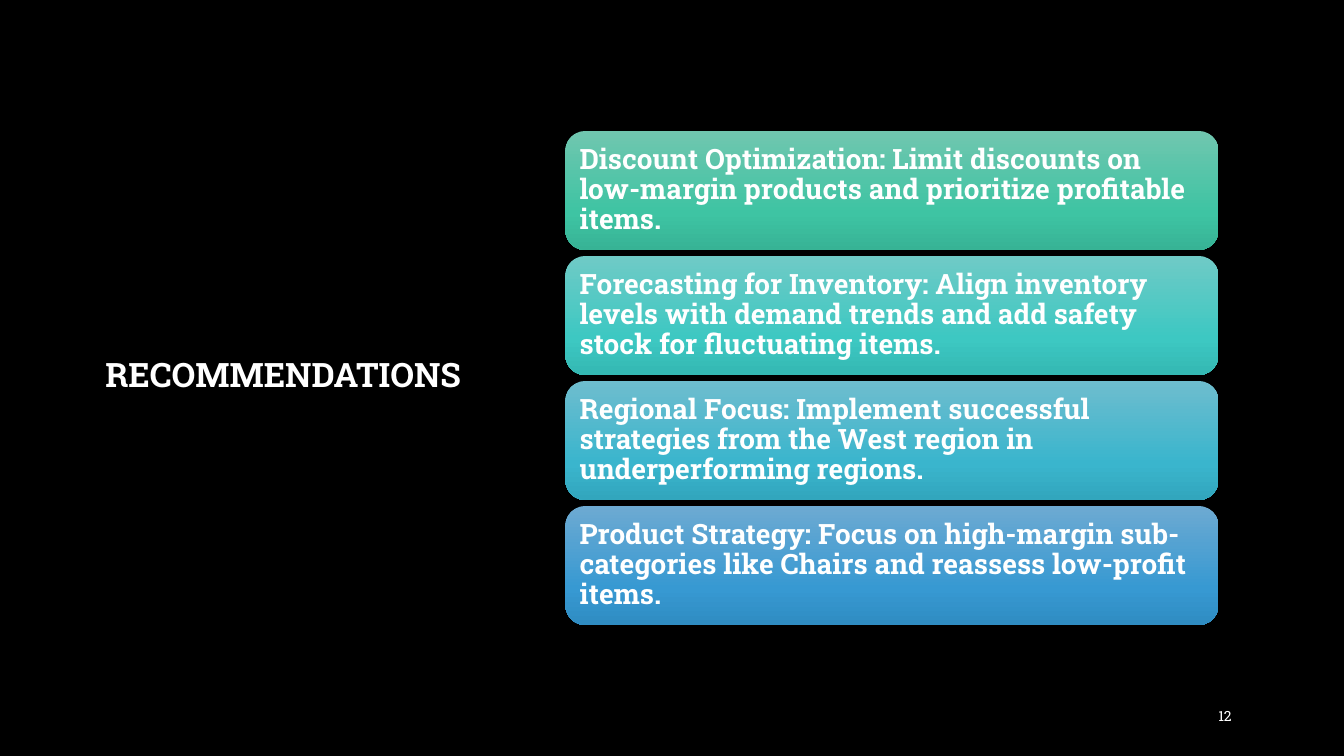
from pptx import Presentation
from pptx import util as u
from pptx.dml.color import RGBColor
from pptx.enum import shapes, text
from pptx.oxml import parse_xml
from pptx.oxml.ns import nsdecls

FONT = "Roboto Slab"
BLACK = RGBColor(0x00, 0x00, 0x00)
WHITE = RGBColor(0xFF, 0xFF, 0xFF)
GREEN = (RGBColor(0x70, 0xC6, 0xAF), RGBColor(0x3E, 0xC4, 0xA3), RGBColor(0x37, 0xB3, 0x95))
TEAL = (RGBColor(0x6F, 0xCA, 0xC6), RGBColor(0x3D, 0xC8, 0xC2), RGBColor(0x34, 0xB8, 0xB3))
CYAN = (RGBColor(0x6E, 0xBD, 0xCE), RGBColor(0x3A, 0xB5, 0xCD), RGBColor(0x32, 0xA6, 0xBD))
BLUE = (RGBColor(0x6D, 0xAA, 0xD2), RGBColor(0x37, 0x99, 0xD2), RGBColor(0x2F, 0x8C, 0xC2))
STOPS = (0, 69, 100)


def write(sp, words, size, bold, para):
    tf = sp.text_frame
    tf.word_wrap = True
    tf.vertical_anchor = text.MSO_ANCHOR.MIDDLE
    p = tf.paragraphs[0]
    for name, value in para.items():
        setattr(p, name, value)
    r = p.add_run()
    r.text = words
    for name, value in {"name": FONT, "size": u.Pt(size), "bold": bold}.items():
        setattr(r.font, name, value)
    r.font.color.rgb = WHITE


def fill_gradient(sp, colors):
    stops = "".join(
        f'<a:gs pos="{pos * 1000}"><a:srgbClr val="{color}"/></a:gs>'
        for pos, color in zip(STOPS, colors))
    sp._element.spPr.append(parse_xml(
        f'<a:gradFill {nsdecls("a")} rotWithShape="1"><a:gsLst>{stops}</a:gsLst>'
        '<a:lin ang="5400000" scaled="0"/></a:gradFill>'))


prs = Presentation()
prs.slide_width, prs.slide_height = u.Cm(33.87), u.Cm(19.05)
s = prs.slides.add_slide(prs.slide_layouts[6])
s.background.fill.solid()
s.background.fill.fore_color.rgb = BLACK

# Title
sp = s.shapes.add_textbox(u.Cm(2.08), u.Cm(1.7), u.Cm(10.11), u.Cm(15.57))
write(sp, "RECOMMENDATIONS", 24, True,
      {"alignment": text.PP_ALIGN.CENTER, "line_spacing": 0.9})

# Slide number
sp = s.shapes.add_textbox(u.Cm(29.21), u.Cm(17.53), u.Cm(2.08), u.Cm(1.02))
write(sp, "12", 10, False,
      {"alignment": text.PP_ALIGN.RIGHT, "space_after": u.Pt(6)})

# Recommendation cards
cards = [
    ("Discount Optimization: Limit discounts on low-margin products and "
     "prioritize profitable items.", GREEN),
    ("Forecasting for Inventory: Align inventory levels with demand trends and "
     "add safety stock for fluctuating items.", TEAL),
    ("Regional Focus: Implement successful strategies from the West region in "
     "underperforming regions.", CYAN),
    ("Product Strategy: Focus on high-margin sub-categories like Chairs and "
     "reassess low-profit items.", BLUE),
]
top, pitch = 3.3, 3.15
for i, (words, colors) in enumerate(cards):
    sp = s.shapes.add_shape(shapes.MSO_SHAPE.ROUNDED_RECTANGLE,
                            u.Cm(14.25), u.Cm(top + i * pitch), u.Cm(16.46), u.Cm(3))
    fill_gradient(sp, colors)
    sp.line.fill.background()
    sp.shadow.inherit = False
    for side in ("left", "top", "right", "bottom"):
        setattr(sp.text_frame, f"margin_{side}", u.Cm(0.21))
    write(sp, words, 20, True,
          {"alignment": text.PP_ALIGN.LEFT, "line_spacing": 0.9})

prs.save("out.pptx")
